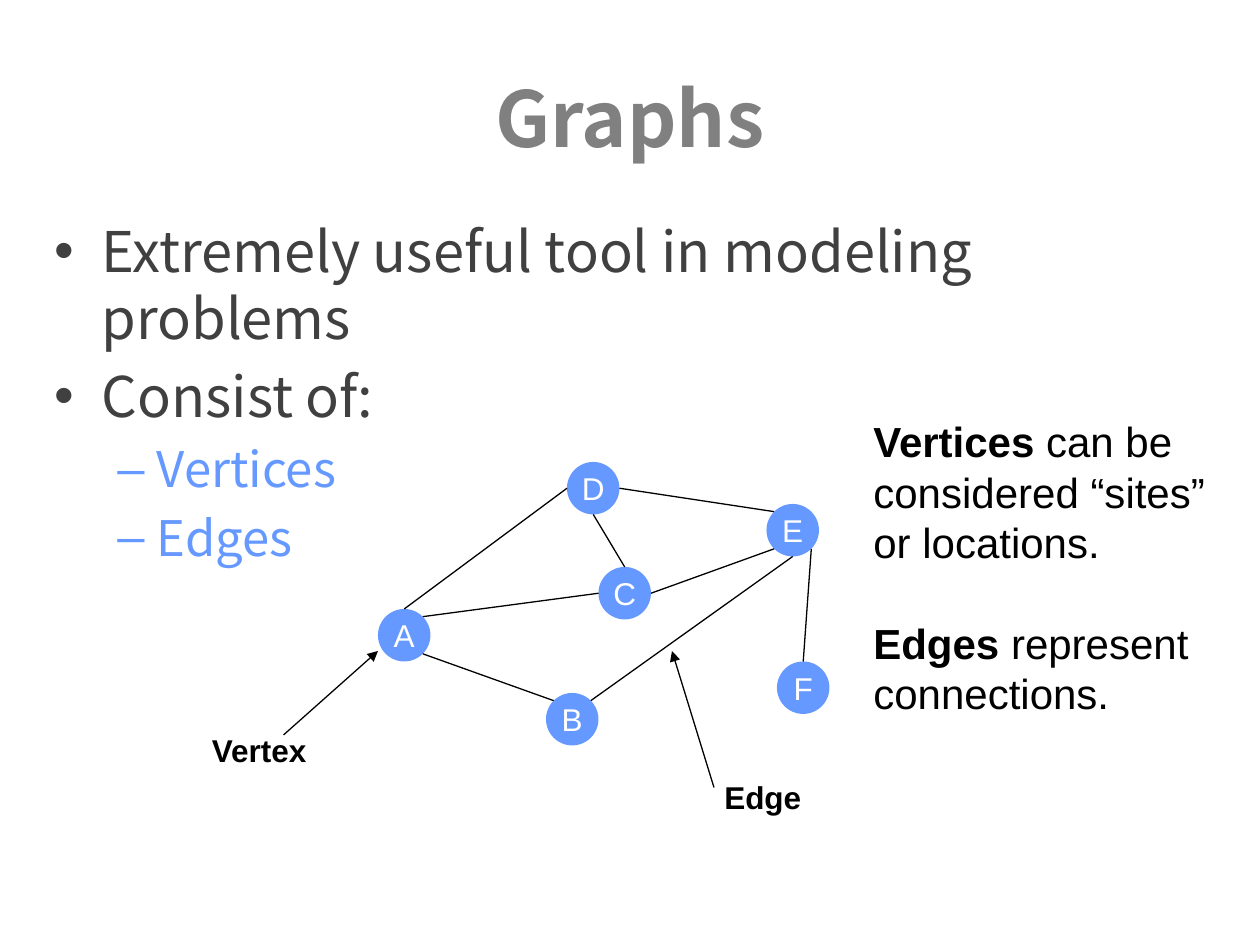
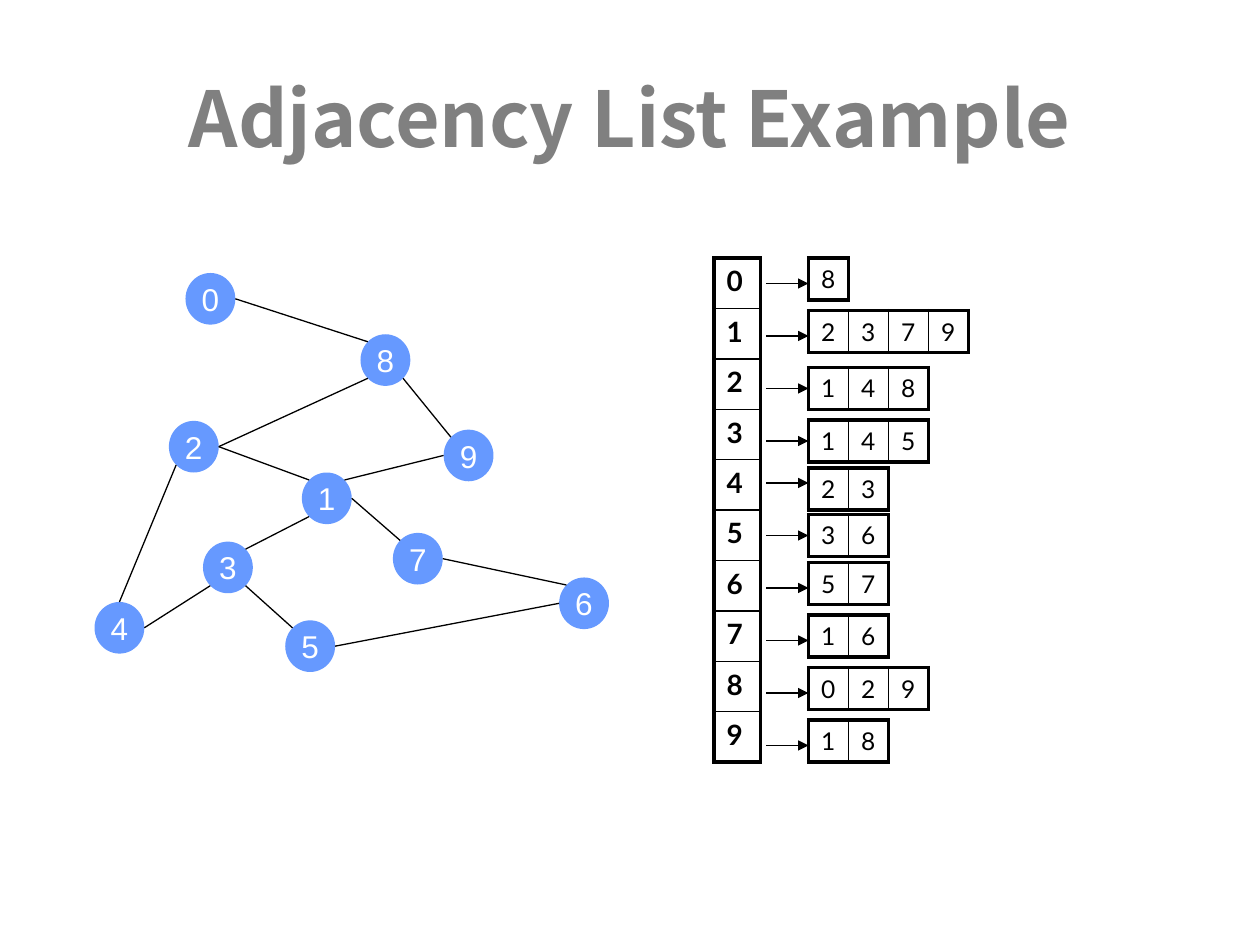
from collections import namedtuple

from lxml.etree import SubElement
from pptx import Presentation
from pptx.dml.color import RGBColor
from pptx.enum.shapes import MSO_CONNECTOR as Connector, MSO_SHAPE as Shape
from pptx.enum.text import MSO_ANCHOR as Anchor, PP_ALIGN as Align
from pptx.oxml.ns import qn
from pptx.util import Pt

Box = namedtuple("Box", "left top width height")

COLORS = {"title": "808080", "body": "404040", "accent": "6699FF",
          "ink": "000000", "node_text": "FFFFFF"}
HEADING_FONT, LABEL_FONT, LIST_FONT = "Noto Sans CJK SC", "Arial", "Lato"
TITLE_BOX = Box(36, 21.6, 648, 90)
THIN, THICK, EDGE_WIDTH = 1, 2.25, 0.75
CALLOUT_SIZE = (76, 29)

# Position of each compass point on a node, as a share of its width and height
DIAGONAL = 0.146
COMPASS = {
    "N": (0.5, 0), "E": (1, 0.5), "S": (0.5, 1), "W": (0, 0.5),
    "NW": (DIAGONAL, DIAGONAL), "NE": (1 - DIAGONAL, DIAGONAL),
    "SW": (DIAGONAL, 1 - DIAGONAL), "SE": (1 - DIAGONAL, 1 - DIAGONAL),
}

BULLETS = [
    ("Extremely useful tool in modeling problems", 0),
    ("Consist of:", 0),
    ("Vertices", 1),
    ("Edges", 1),
]
# level: mark, left margin, hanging indent, size, colour
BULLET_STYLES = [("•", 27, 27, 32, "body"), ("–", 58.5, 22.5, 28, "accent")]

LETTER_NODES = {"D": (108, 0), "E": (222, 24), "A": (0, 84),
                "C": (126, 60), "F": (228, 114), "B": (96, 132)}
LETTER_EDGES = ["A.SE B.NW", "A.NE C.W", "D.W A.N", "D.S C.N",
                "D.E E.NW", "C.E E.SW", "F.N E.SE", "E.S B.NE"]
# text, text offset, arrow start, arrow end
CALLOUTS = [("Vertex", (-102, 150), (-54, 156), (0, 108)),
            ("Edge", (190.8, 177), (192, 186), (168, 108))]

DIGIT_NODES = {"2": (42.5, 84.5), "4": (0, 188), "3": (62, 153.5), "5": (109, 198.5),
               "1": (118.5, 114), "7": (170.5, 148.5), "6": (265.5, 174),
               "9": (199.5, 89.5), "8": (152, 35), "0": (52, 0)}
DIGIT_EDGES = ["0.E 8.NW", "8.SE 9.NW", "9.W 1.NE", "8.SW 2.E", "2.E 1.NW", "2.SW 4.N",
               "4.E 3.SW", "3.NE 1.SW", "3.SE 5.NW", "5.E 6.W", "1.E 7.NW", "7.E 6.NW"]

# neighbours of each vertex and the top of their row
NEIGHBOURS = [("8", 0), ("2379", 30), ("148", 62.5), ("145", 92.5), ("23", 120),
              ("36", 146.5), ("57", 174), ("16", 204), ("029", 234), ("18", 264)]


def rgb(name):
    return RGBColor.from_string(COLORS[name])


def style(font, face, size, color, bold=None):
    font.name, font.size, font.bold = face, Pt(size), bold
    font.color.rgb = rgb(color)


def add_text(slide, box, wrap=True):
    frame = slide.shapes.add_textbox(*map(Pt, box)).text_frame
    frame.word_wrap = wrap
    return frame


def add_title(slide, box, text):
    frame = add_text(slide, box)
    frame.vertical_anchor = Anchor.MIDDLE
    title = frame.paragraphs[0]
    title.text, title.alignment = text, Align.CENTER
    style(title.font, HEADING_FONT, 44, "title", True)


def add_bullets(slide, box):
    frame = add_text(slide, box)
    for i, (text, level) in enumerate(BULLETS):
        mark, margin, hang, size, color = BULLET_STYLES[level]
        item = frame.add_paragraph() if i else frame.paragraphs[0]
        item.text, item.level = text, level
        props = item._p.get_or_add_pPr()
        props.set("marL", str(Pt(margin)))
        props.set("indent", str(-Pt(hang)))
        if i:
            item.space_before = Pt(size * 0.2)
        SubElement(props, qn("a:buFont")).set("typeface", LABEL_FONT)
        SubElement(props, qn("a:buChar")).set("char", mark)
        style(item.font, HEADING_FONT, size, color)


def add_line(slide, start, end, arrow=False):
    line = slide.shapes.add_connector(Connector.STRAIGHT, *map(Pt, (*start, *end)))
    line.line.color.rgb = rgb("ink")
    line.line.width = Pt(EDGE_WIDTH)
    if arrow:
        SubElement(line.line._get_or_add_ln(), qn("a:tailEnd")).set("type", "triangle")
    SubElement(line._element.spPr, qn("a:effectLst"))


def add_graph(slide, origin, node_size, nodes, edges):
    """Draw labelled nodes, then edges such as "A.SE B.NW" between compass points."""
    left, top = origin
    width, height = node_size
    for label, (x, y) in nodes.items():
        node = slide.shapes.add_shape(Shape.OVAL, *map(Pt, (left + x, top + y, width, height)))
        node.shadow.inherit = False
        node.fill.solid()
        node.fill.fore_color.rgb = rgb("accent")
        node.line.fill.background()
        frame = node.text_frame
        frame.word_wrap, frame.vertical_anchor = False, Anchor.MIDDLE
        caption = frame.paragraphs[0]
        caption.text, caption.alignment = label, Align.CENTER
        style(caption.font, LABEL_FONT, 18, "node_text")

    def point(end):
        label, compass = end.split(".")
        (x, y), (across, down) = nodes[label], COMPASS[compass]
        return left + x + across * width, top + y + down * height

    for edge in edges:
        add_line(slide, *map(point, edge.split()))


def add_callouts(slide, origin):
    def place(offset):
        return origin[0] + offset[0], origin[1] + offset[1]

    for text, at, start, end in CALLOUTS:
        add_line(slide, place(start), place(end), arrow=True)
        caption = add_text(slide, (*place(at), *CALLOUT_SIZE), wrap=False).paragraphs[0]
        caption.text = text
        style(caption.font, LABEL_FONT, 18, "ink", True)


def add_definitions(slide, box):
    frame = add_text(slide, box, wrap=False)
    vertices, edges, ending = frame.paragraphs[0], frame.add_paragraph(), frame.add_paragraph()
    edges.space_before = Pt(28.8)
    for paragraph, term, lines in (
        (vertices, "Vertices", [" can be", "considered “sites”", "or locations."]),
        (edges, "Edges", [" represent"]),
        (ending, "", ["connections."]),
    ):
        style(paragraph.font, LABEL_FONT, 24, "ink")
        if term:
            run = paragraph.add_run()
            run.text = term
            style(run.font, LABEL_FONT, 24, "ink", True)
        for i, line in enumerate(lines):
            if i:
                paragraph.add_line_break()
            run = paragraph.add_run()
            run.text = line
            style(run.font, LABEL_FONT, 24, "ink")


def add_grid(slide, origin, rows, cell_size, size, bold=None):
    """Table with a thick outline and thin inner rules."""
    n_rows, n_cols = len(rows), len(rows[0])
    width, height = cell_size
    table = slide.shapes.add_table(
        n_rows, n_cols, *map(Pt, (*origin, width * n_cols, height * n_rows))).table
    table.first_row = table.horz_banding = False
    for column in table.columns:
        column.width = Pt(width)
    for r, row in enumerate(rows):
        table.rows[r].height = Pt(height)
        for c, value in enumerate(row):
            cell = table.cell(r, c)
            cell.text = value
            style(cell.text_frame.paragraphs[0].font, LIST_FONT, size, "ink", bold)
            outer = {"L": c == 0, "R": c == n_cols - 1, "T": r == 0, "B": r == n_rows - 1}
            props = cell._tc.get_or_add_tcPr()
            for side, is_outer in outer.items():
                border = SubElement(props, qn(f"a:ln{side}"))
                border.set("w", str(Pt(THICK if is_outer else THIN)))
                fill = SubElement(border, qn("a:solidFill"))
                SubElement(fill, qn("a:srgbClr")).set("val", COLORS["ink"])
            cell.fill.background()


def add_adjacency_list(slide, origin):
    left, top = origin
    vertices = [str(i) for i in range(len(NEIGHBOURS))]
    add_grid(slide, origin, vertices, (26.6, 28.8), 16, True)
    for i, (neighbours, offset) in enumerate(NEIGHBOURS):
        arrow_y = top + 14.5 + 30 * i - (6 if i >= 4 else 0)
        add_line(slide, (left + 30, arrow_y), (left + 54, arrow_y), arrow=True)
        add_grid(slide, (left + 54, top + offset), [neighbours], (22.9, 24), 14)


def new_slide(deck, title):
    slide = deck.slides.add_slide(deck.slide_layouts[6])
    add_title(slide, TITLE_BOX, title)
    return slide


def main():
    deck = Presentation()
    deck.slide_width, deck.slide_height = Pt(720), Pt(540)

    graphs = new_slide(deck, "Graphs")
    graph_origin = (216, 264)
    add_bullets(graphs, Box(24, 120, 678, 369))
    add_graph(graphs, graph_origin, (30, 30), LETTER_NODES, LETTER_EDGES)
    add_callouts(graphs, graph_origin)
    add_definitions(graphs, Box(492, 234, 204.5, 180))

    adjacency = new_slide(deck, "Adjacency List Example")
    add_graph(adjacency, (54, 156), (28.5, 29.5), DIGIT_NODES, DIGIT_EDGES)
    add_adjacency_list(adjacency, (408, 147.5))

    deck.save("out.pptx")


if __name__ == "__main__":
    main()
